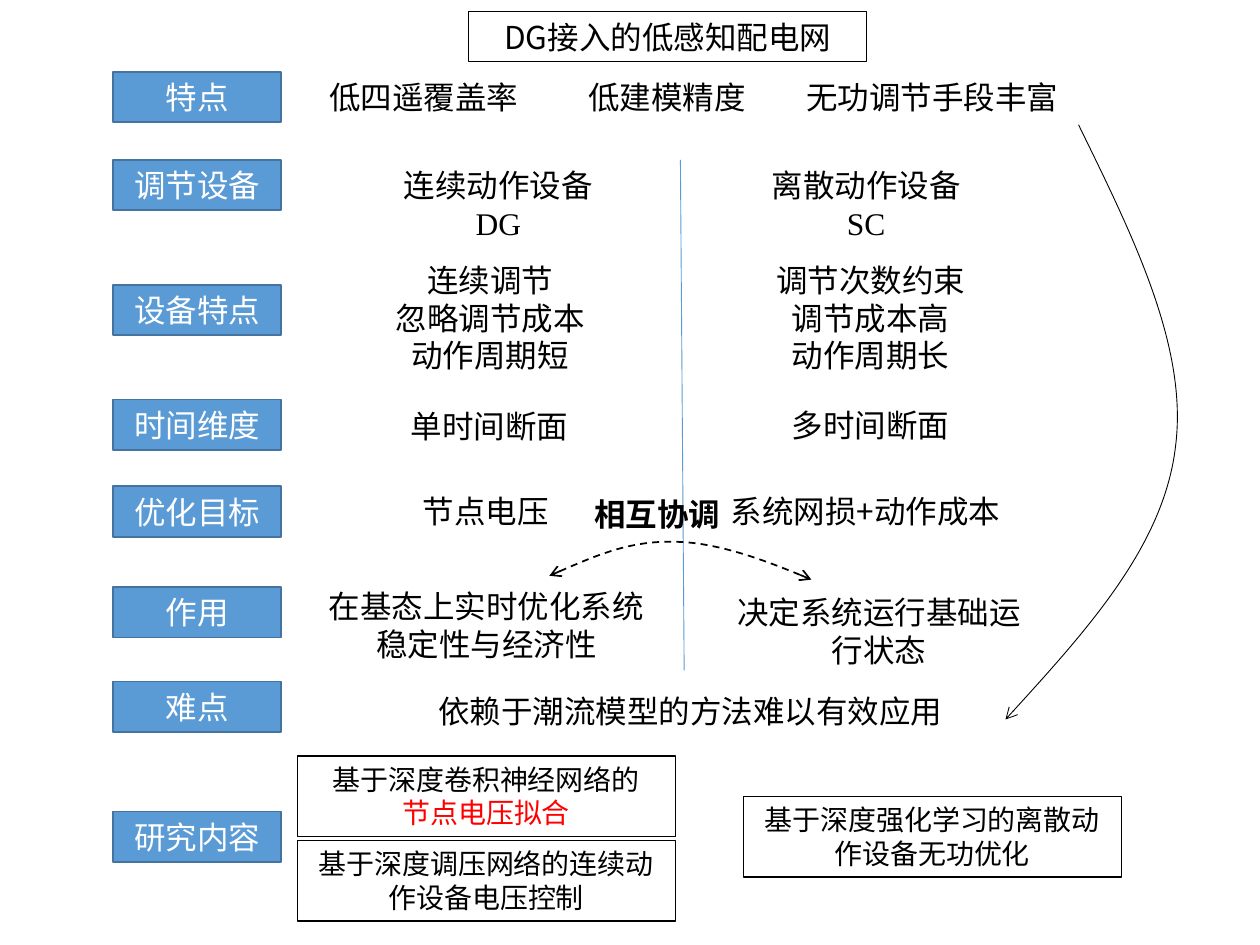
from dataclasses import dataclass

from lxml import etree
from pptx import Presentation
from pptx import util as u
from pptx.dml.color import RGBColor
from pptx.enum import dml, shapes, text
from pptx.oxml import ns

COLS, ROWS = 100, 75
CELL = u.Inches(0.1)
CJK, LABEL_FONT, LATIN = "Noto Sans CJK SC", "Calibri", "Times New Roman"
COLORS = {
    "ink": "000000",
    "paper": "FFFFFF",
    "label": "5B9BD5",
    "label_edge": "43739E",
    "accent": "FF0000",
}


@dataclass(frozen=True)
class Line:
    text: str
    font: str = CJK
    color: str = "ink"


@dataclass(frozen=True)
class Label:
    row: float
    text: str


@dataclass(frozen=True)
class Block:
    col: float
    row: float
    cols: float
    rows: float
    lines: tuple[str | Line, ...]
    size: int = 18
    bold: bool = False
    align: text.PP_ALIGN = text.PP_ALIGN.CENTER


@dataclass(frozen=True)
class Curve:
    start: tuple[float, float]
    controls: tuple[tuple[float, float], ...]
    width: float
    ends: tuple[str, ...]
    dashed: bool = False


LABELS = [
    Label(5.7, "特点"),
    Label(12.7, "调节设备"),
    Label(22.6, "设备特点"),
    Label(31.7, "时间维度"),
    Label(38.6, "优化目标"),
    Label(46.6, "作用"),
    Label(54.1, "难点"),
    Label(64.4, "研究内容"),
]
TEXTS = [
    Block(24, 5.7, 19.3, 4, ("低四遥覆盖率",)),
    Block(43.3, 5.7, 19.3, 4, ("低建模精度",)),
    Block(62.6, 5.7, 22.8, 4, ("无功调节手段丰富",)),
    Block(29.9, 12.7, 19.3, 7.1, ("连续动作设备", Line("DG", LATIN))),
    Block(59.1, 12.7, 19.3, 7.1, ("离散动作设备", Line("SC", LATIN))),
    Block(30.1, 20.2, 17.6, 10.1, ("连续调节", "忽略调节成本", "动作周期短")),
    Block(60.3, 20.2, 17.6, 10.1, ("调节次数约束", "调节成本高", "动作周期长")),
    Block(29.2, 31.8, 19.3, 4, ("单时间断面",)),
    Block(57.6, 31.7, 23, 4, ("多时间断面",)),
    Block(28.9, 38.6, 19.3, 4, ("节点电压",)),
    Block(56.9, 38.6, 23.6, 4, ("系统网损+动作成本",)),
    Block(46.2, 38.8, 13, 4, ("相互协调",), bold=True, align=text.PP_ALIGN.LEFT),
    Block(24.5, 46.1, 28.2, 7.1, ("在基态上实时优化系统稳定性与经济性",)),
    Block(56.7, 46.6, 26.1, 7.1, ("决定系统运行基础运行状态",)),
    Block(26.8, 54.4, 56, 4, ("依赖于潮流模型的方法难以有效应用",)),
]
FRAMED = [
    Block(37.2, 0.9, 31.6, 4, ("DG接入的低感知配电网",)),
    Block(23.6, 60, 30, 6.4,
          ("基于深度卷积神经网络的", Line("节点电压拟合", color="accent")), 16),
    Block(23.6, 66.7, 30, 6.4, ("基于深度调压网络的连续动作设备电压控制",), 16),
    Block(59, 63.2, 30, 6.4, ("基于深度强化学习的离散动作设备无功优化",), 16),
]
CURVES = [
    Curve((85.6, 9.9), ((89.9, 18.7), (94.3, 27.5), (93.3, 35.4),
                        (92.4, 43.2), (86.1, 50.2), (79.8, 57.1)),
          0.5, ("tailEnd",)),
    Curve((43.6, 45.7), ((46.8, 44.3), (50, 42.9), (53.5, 43),
                         (57, 43), (62.3, 45.1), (64.4, 46)),
          1, ("headEnd", "tailEnd"), dashed=True),
]


def cells(*counts: float) -> list[int]:
    return [round(n * CELL) for n in counts]


def rgb(name: str) -> RGBColor:
    return RGBColor.from_string(COLORS[name])


def outline(s, color: str, width: float) -> None:
    s.line.color.rgb = rgb(color)
    s.line.width = u.Pt(width)


def write(s, block: Block) -> None:
    tf = s.text_frame
    tf.word_wrap = True
    for i, item in enumerate(block.lines):
        line = Line(item) if isinstance(item, str) else item
        p = tf.paragraphs[0] if i == 0 else tf.add_paragraph()
        p.text = line.text
        p.alignment = block.align
        p.font.size = u.Pt(block.size)
        p.font.bold = block.bold
        p.font.name = line.font
        p.font.color.rgb = rgb(line.color)
        props = p._p.get_or_add_pPr().get_or_add_defRPr()
        etree.SubElement(props, ns.qn("a:ea"), typeface=CJK)


def add_rect(slide, block: Block):
    s = slide.shapes.add_shape(shapes.MSO_SHAPE.RECTANGLE,
                               *cells(block.col, block.row, block.cols, block.rows))
    s.shadow.inherit = False
    write(s, block)
    return s


def add_label(slide, label: Label) -> None:
    line = Line(label.text, LABEL_FONT, "paper")
    s = add_rect(slide, Block(9, label.row, 13.3, 4, (line,)))
    s.fill.solid()
    s.fill.fore_color.rgb = rgb("label")
    outline(s, "label_edge", 1)
    s.text_frame.vertical_anchor = text.MSO_ANCHOR.MIDDLE


def add_framed(slide, block: Block) -> None:
    s = add_rect(slide, block)
    s.fill.background()
    outline(s, "ink", 0.75)
    s.text_frame.vertical_anchor = text.MSO_ANCHOR.TOP
    s.text_frame.auto_size = text.MSO_AUTO_SIZE.SHAPE_TO_FIT_TEXT


def add_text(slide, block: Block) -> None:
    s = slide.shapes.add_textbox(*cells(block.col, block.row, block.cols, block.rows))
    write(s, block)
    s.text_frame.auto_size = text.MSO_AUTO_SIZE.SHAPE_TO_FIT_TEXT


def add_divider(slide) -> None:
    s = slide.shapes.add_connector(shapes.MSO_CONNECTOR.STRAIGHT,
                                   *cells(54, 12.7, 54.3, 53.2))
    outline(s, "label", 0.5)
    etree.SubElement(s._element.spPr, ns.qn("a:effectLst"))


def add_curve(slide, curve: Curve) -> None:
    builder = slide.shapes.build_freeform(*cells(*curve.start))
    builder.add_line_segments([cells(*pt) for pt in curve.controls], close=False)
    s = builder.convert_to_shape()
    s.shadow.inherit = False
    s.fill.background()
    outline(s, "ink", curve.width)
    if curve.dashed:
        s.line.dash_style = dml.MSO_LINE.DASH
    segments = list(s._element.iter(ns.qn("a:lnTo")))
    outline_path = segments[0].getparent()
    for i in range(0, len(segments), 3):
        bezier = etree.SubElement(outline_path, ns.qn("a:cubicBezTo"))
        for segment in segments[i:i + 3]:
            bezier.append(segment[0])
            outline_path.remove(segment)
    ln = s.line._get_or_add_ln()
    for end in curve.ends:
        etree.SubElement(ln, ns.qn(f"a:{end}"), type="arrow")


def main() -> None:
    prs = Presentation()
    prs.slide_width, prs.slide_height = COLS * CELL, ROWS * CELL
    slide = prs.slides.add_slide(prs.slide_layouts[6])
    add_divider(slide)
    for draw, items in ((add_label, LABELS), (add_text, TEXTS),
                        (add_framed, FRAMED), (add_curve, CURVES)):
        for item in items:
            draw(slide, item)
    prs.save("out.pptx")


if __name__ == "__main__":
    main()
